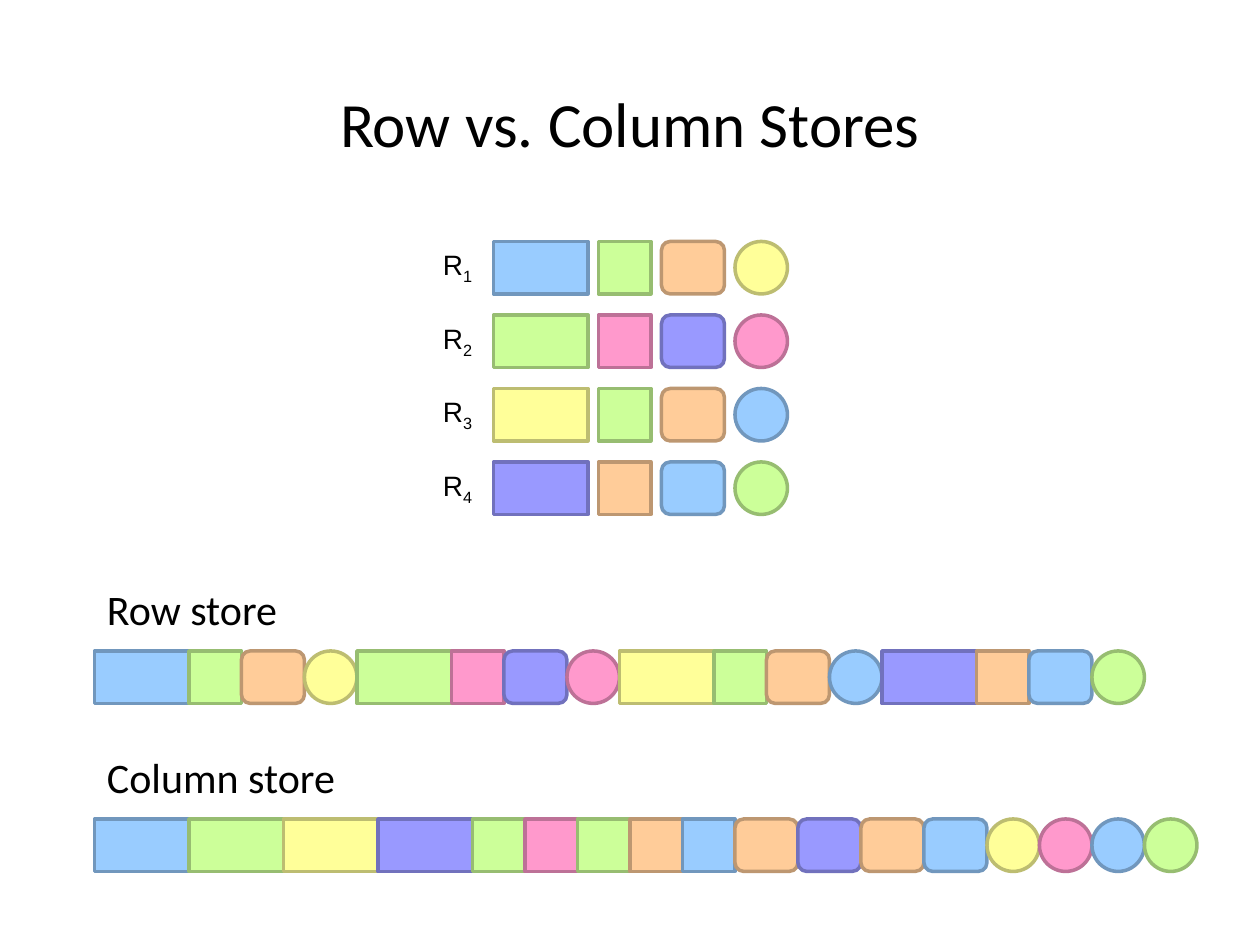
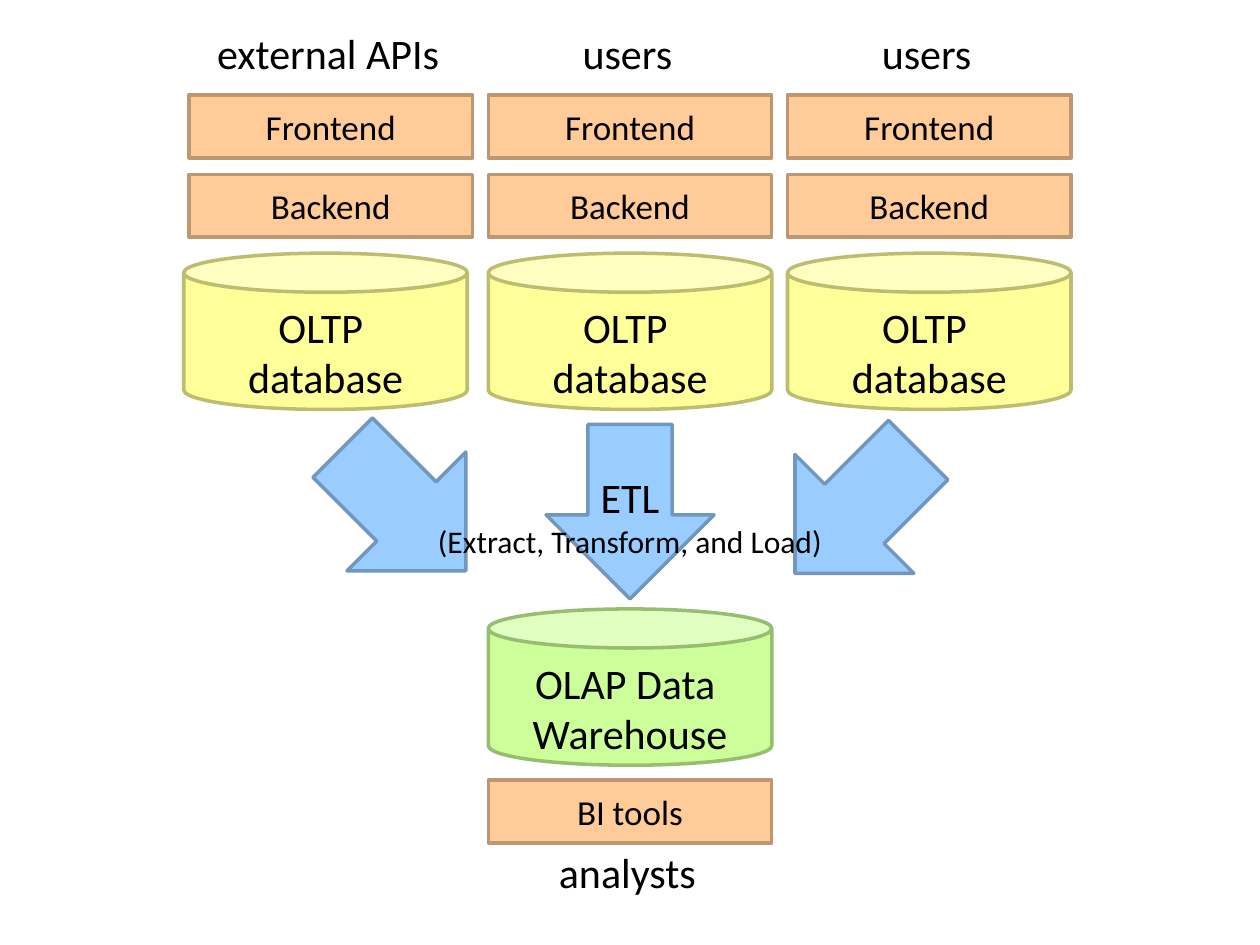
import pptx
import pptx.util
import pptx.dml.color
import pptx.enum.shapes
import pptx.enum.text
from collections import namedtuple
from dataclasses import dataclass

Pt = pptx.util.Pt
SHAPE = pptx.enum.shapes.MSO_SHAPE
ALIGN = pptx.enum.text.PP_ALIGN
ANCHOR = pptx.enum.text.MSO_ANCHOR
AUTO_SIZE = pptx.enum.text.MSO_AUTO_SIZE
Box = namedtuple("Box", "left top width height")


@dataclass(frozen=True)
class Theme:
    blue: str = "99CCFF"
    green: str = "CCFF99"
    orange: str = "FFCC99"
    yellow: str = "FFFF99"
    pink: str = "FF99CC"
    violet: str = "9999FF"
    ink: str = "000000"
    font: str = "Calibri"
    label_font: str = "Arial"
    title_size: int = 36
    heading_size: int = 24
    box_size: int = 20
    note_size: int = 18
    label_size: int = 16
    outline: int = 2
    outline_shade: float = 0.74


THEME = Theme()

# Each field of a record has its own outline and width
FIELDS = [(SHAPE.RECTANGLE, 54), (SHAPE.RECTANGLE, 30),
          (SHAPE.ROUNDED_RECTANGLE, 36), (SHAPE.OVAL, 30)]
FIELD_HEIGHT = 30
RECORDS = [
    (THEME.blue, THEME.green, THEME.orange, THEME.yellow),
    (THEME.green, THEME.pink, THEME.violet, THEME.pink),
    (THEME.yellow, THEME.green, THEME.orange, THEME.blue),
    (THEME.violet, THEME.orange, THEME.blue, THEME.green),
]


# Shared helpers
def rgb(code):
    return pptx.dml.color.RGBColor.from_string(code)


def shade(code):
    channels = [round(channel * THEME.outline_shade) for channel in rgb(code)]
    return pptx.dml.color.RGBColor(*channels)


def add_span(para, text, size, font=THEME.font):
    span = para.add_run()
    span.text = text
    span.font.size = Pt(size)
    span.font.name = font
    span.font.color.rgb = rgb(THEME.ink)
    return span


def add_lines(para, lines):
    """Write (text, size) pairs, separated by line breaks."""
    for index, (text, size) in enumerate(lines):
        if index:
            para.add_line_break()
        add_span(para, text, size)


def add_filled(shapes, kind, box, color):
    shape = shapes.add_shape(kind, *map(Pt, box))
    shape.shadow.inherit = False
    shape.fill.solid()
    shape.fill.fore_color.rgb = rgb(color)
    shape.line.color.rgb = shade(color)
    shape.line.width = Pt(THEME.outline)
    return shape


def add_text(shapes, box, wrap=True):
    frame = shapes.add_textbox(*map(Pt, box)).text_frame
    frame.word_wrap = wrap
    frame.auto_size = AUTO_SIZE.SHAPE_TO_FIT_TEXT
    para = frame.paragraphs[0]
    para.alignment = ALIGN.CENTER if wrap else ALIGN.LEFT
    return para


def add_caption(shapes, box, *lines):
    add_lines(add_text(shapes, box), [(line, THEME.heading_size) for line in lines])


def add_title(page, text):
    title = page.shapes.title
    title.left, title.top, title.width, title.height = map(Pt, (0, 43, 720, 54))
    title.text_frame.vertical_anchor = ANCHOR.MIDDLE
    para = title.text_frame.paragraphs[0]
    para.alignment = ALIGN.CENTER
    add_span(para, text, THEME.title_size)


# Row and column stores
def add_cells(shapes, left, top, cells, gap=0):
    """Lay (field, color) cells side by side."""
    for field, color in cells:
        kind, width = FIELDS[field]
        add_filled(shapes, kind, Box(left, top, width, FIELD_HEIGHT), color)
        left += width + gap


def add_records(page, box):
    pitch = box.height / len(RECORDS)
    for index, record in enumerate(RECORDS):
        top = box.top + index * pitch
        para = add_text(page.shapes, Box(box.left, top, 32.4, 26.6), wrap=False)
        add_span(para, "R", THEME.label_size, THEME.label_font)
        digit = add_span(para, str(index + 1), THEME.label_size, THEME.label_font)
        digit._r.get_or_add_rPr().set("baseline", "-25000")
        add_cells(page.shapes, box.left + 36, top, enumerate(record), gap=6)


def add_store(page, box, name, cells):
    group = page.shapes.add_group_shape()
    add_cells(group.shapes, box.left, box.top + 42, cells)
    para = add_text(group.shapes, Box(*box[:3], 36), wrap=False)
    add_span(para, name, THEME.heading_size)


def build_stores(page):
    add_title(page, "Row vs. Column Stores")
    add_records(page, Box(246, 138, 204, 168))
    by_row = [cell for record in RECORDS for cell in enumerate(record)]
    columns = [list(column) for column in zip(*RECORDS)]
    columns[1].append(THEME.blue)
    by_column = [(field, color) for field, column in enumerate(columns)
                 for color in column]
    add_store(page, Box(54, 330, 118, 72), "Row store", by_row)
    add_store(page, Box(54, 426, 151, 72), "Column store", by_column)


# Data warehouse flow
def add_layer(page, box, text):
    shape = add_filled(page.shapes, SHAPE.RECTANGLE, box, THEME.orange)
    shape.text_frame.word_wrap = True
    shape.text_frame.vertical_anchor = ANCHOR.MIDDLE
    para = shape.text_frame.paragraphs[0]
    para.alignment = ALIGN.CENTER
    add_span(para, text, THEME.box_size)


def add_database(page, box, color, *lines):
    group = page.shapes.add_group_shape()
    add_filled(group.shapes, SHAPE.CAN, box, color)
    label = Box(box.left, box.top + 24, box.width, box.height - 24)
    add_caption(group.shapes, label, *lines)


def add_source(page, box, audience, database_shift=0):
    add_caption(page.shapes, Box(box.left, box.top, 159, 36), audience)
    for index, layer in enumerate(["Frontend", "Backend"]):
        top = box.top + 42 + index * 45.4
        add_layer(page, Box(box.left, top, box.width, 36), layer)
    database = Box(box.left + database_shift, box.top + 132.5, box.width, 89.3)
    add_database(page, database, THEME.yellow, "OLTP ", "database")


def add_load(page, box):
    arrows = [(box.left, 241.2, 315), (box.left + 129, 242.6, 0),
              (box.left + 258.5, 242.6, 45)]
    for left, top, angle in arrows:
        arrow = add_filled(page.shapes, SHAPE.DOWN_ARROW,
                           Box(left, top, 96, 99.6), THEME.blue)
        arrow.rotation = angle
    label = Box(box.left + 33, box.top + 24.5, 288, 58.3)
    add_lines(add_text(page.shapes, label),
              [("ETL", THEME.heading_size),
               ("(Extract, Transform, and Load)", THEME.note_size)])


def add_warehouse(page, box):
    add_database(page, Box(*box[:3], 89.3), THEME.green, "OLAP Data ", "Warehouse")
    add_layer(page, Box(box.left, box.top + 97.7, box.width, 36), "BI tools")
    add_caption(page.shapes, Box(box.left, box.top + 132.3, 159, 36), "analysts")


def build_warehouse_flow(page):
    audiences = [("external APIs", -3), ("users", 0), ("users", 0)]
    for index, (audience, shift) in enumerate(audiences):
        add_source(page, Box(108 + index * 171, 12.2, 162, 222), audience, shift)
    add_load(page, Box(183, 241.2, 354, 101))
    add_warehouse(page, Box(279, 348, 162, 168))


def main():
    deck = pptx.Presentation()
    deck.slide_width, deck.slide_height = Pt(720), Pt(540)
    title_only, blank = deck.slide_layouts[5], deck.slide_layouts[6]
    build_stores(deck.slides.add_slide(title_only))
    build_warehouse_flow(deck.slides.add_slide(blank))
    deck.save("out.pptx")


if __name__ == "__main__":
    main()
